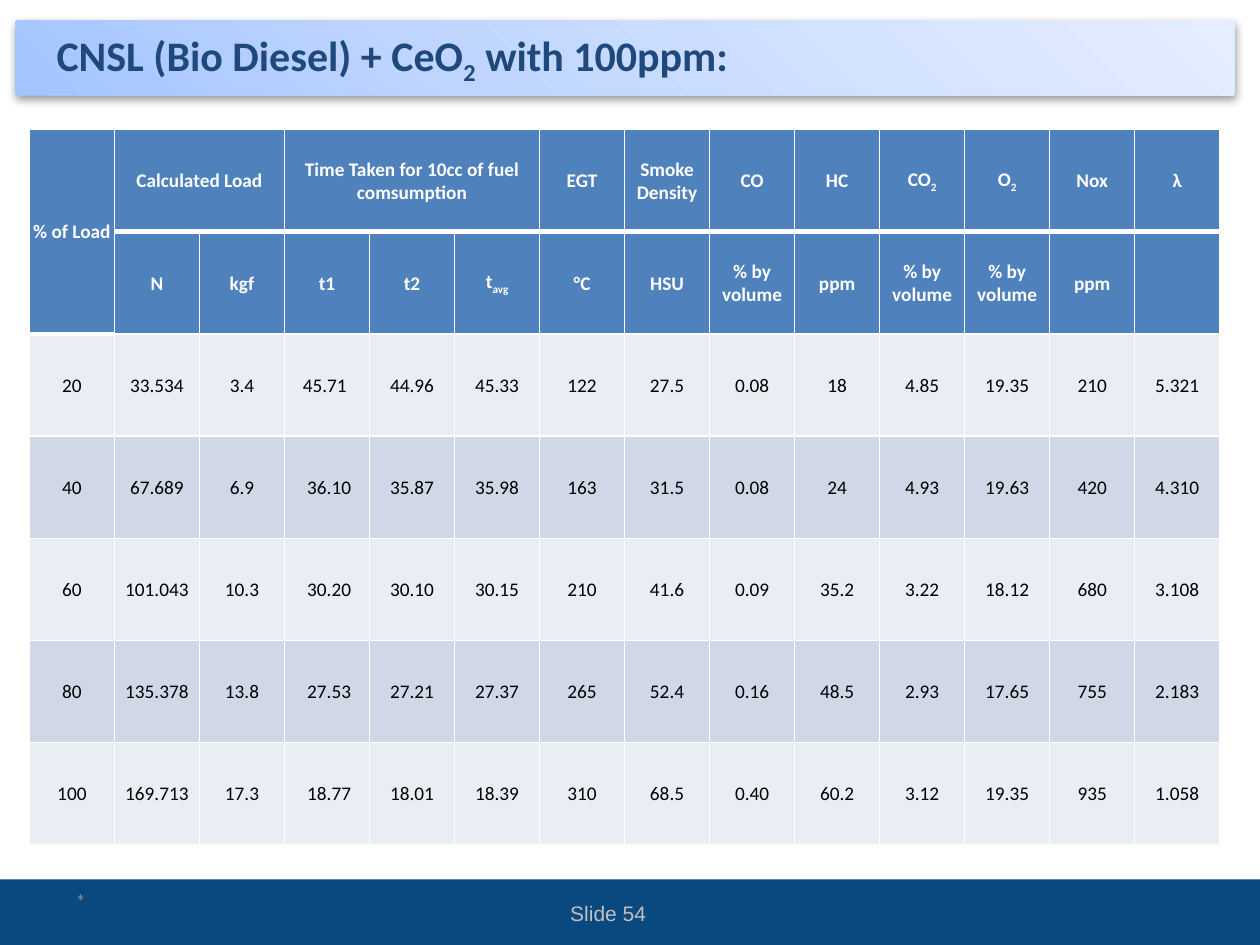
"""Build the engine test results slide for CNSL bio diesel with CeO2 at 100ppm."""
from lxml.etree import SubElement
from pptx import Presentation
from pptx.dml.color import RGBColor
from pptx.enum.shapes import MSO_SHAPE
from pptx.enum.text import MSO_ANCHOR, PP_ALIGN
from pptx.oxml.ns import qn
from pptx.util import Pt

COLORS = {
    "footer": "0A4880", "title": "1F497D", "number": "BFBFBF", "date": "898989",
    "header": "4F81BD", "light": "E9EDF4", "dark": "D0D8E8",
    "white": "FFFFFF", "black": "000000",
}
BANNER_STOPS = [(0, "A3C4FF"), (35, "BFD5FF"), (100, "E5EEFF")]

TITLE = "CNSL (Bio Diesel) + CeO|2| with 100ppm:"
HEADERS = [
    ["% of Load", "Calculated Load", "", "Time Taken for 10cc of fuel comsumption", "", "",
     "EGT", "Smoke Density", "CO", "HC", "CO|2", "O|2", "Nox", "λ"],
    ["", "N", "kgf", "t1", "t2", "t|avg", "°C", "HSU", "% by volume", "ppm",
     "% by volume", "% by volume", "ppm", ""],
]
READINGS = [
    ["20", "33.534", "3.4", "45.71 ", "44.96", "45.33", "122", "27.5", "0.08", "18",
     "4.85", "19.35", "210", "5.321"],
    ["40", "67.689", "6.9", " 36.10", "35.87", "35.98", "163", "31.5", "0.08", "24",
     "4.93", "19.63", "420", "4.310"],
    ["60", "101.043", "10.3", " 30.20", "30.10", "30.15", "210", "41.6", "0.09", "35.2",
     "3.22", "18.12", "680", "3.108"],
    ["80", "135.378", "13.8", " 27.53", "27.21", "27.37", "265", "52.4", "0.16", "48.5",
     "2.93", "17.65", "755", "2.183"],
    ["100", "169.713", "17.3", " 18.77", "18.01", "18.39", "310", "68.5", "0.40", "60.2",
     "3.12", "19.35", "935", "1.058"],
]
MERGES = [((0, 0), (1, 0)), ((0, 1), (0, 2)), ((0, 3), (0, 5))]
COLUMN_WIDTH, ROW_HEIGHT = 48.6, 58.4


def color(name):
    return RGBColor.from_string(COLORS[name])


def write(paragraph, text, size, font_color, bold=False, align=PP_ALIGN.LEFT, name="Calibri"):
    """Write text whose every second part, split at a bar, is subscript."""
    paragraph.alignment = align
    font = paragraph.font
    font.name, font.size, font.bold = name, Pt(size), bold
    font.color.rgb = color(font_color)
    for index, part in enumerate(text.split("|")):
        if part:
            run = paragraph.add_run()
            run.text = part
            if index % 2:
                run._r.get_or_add_rPr().set("baseline", "-25000")


def add_text(slide, box, text, *style, **options):
    frame = slide.shapes.add_textbox(*map(Pt, box)).text_frame
    frame.word_wrap = True
    frame.vertical_anchor = MSO_ANCHOR.MIDDLE
    write(frame.paragraphs[0], text, *style, **options)


def add_block(slide, kind, box):
    shape = slide.shapes.add_shape(kind, *map(Pt, box))
    shape.shadow.inherit = False
    shape.line.fill.background()
    return shape


def add_banner(slide):
    banner = add_block(slide, MSO_SHAPE.ROUNDED_RECTANGLE, (8.64, 11.52, 697, 43.2))
    banner.adjustments[0] = 0.04
    banner.fill.gradient()
    banner.fill.gradient_angle = 45
    properties = banner._element.spPr
    stops = properties.find(qn("a:gradFill")).find(qn("a:gsLst"))
    for stop in list(stops):
        stops.remove(stop)
    for position, value in BANNER_STOPS:
        stop = SubElement(stops, qn("a:gs"), pos=str(position * 1000))
        SubElement(stop, qn("a:srgbClr"), val=value)
    shadow = SubElement(properties.find(qn("a:effectLst")), qn("a:outerShdw"),
                        blurRad=str(Pt(5)), dist=str(Pt(1.6)), dir="5400000", rotWithShape="0")
    shade = SubElement(shadow, qn("a:srgbClr"), val=COLORS["black"])
    SubElement(shade, qn("a:alpha"), val="38000")


def set_borders(cell, widths):
    properties = cell._tc.get_or_add_tcPr()
    for side, width in widths.items():
        line = SubElement(properties, qn(f"a:ln{side}"), w=str(Pt(width)))
        fill = SubElement(line, qn("a:solidFill"))
        SubElement(fill, qn("a:srgbClr"), val=COLORS["white"])


def fill_cell(cell, text, row, column):
    is_header = row < len(HEADERS)
    thick_bottom = row == 0 or (row, column) == (1, 0)
    set_borders(cell, {"L": 1, "R": 1, "T": 3 if row == 1 else 1, "B": 3 if thick_bottom else 1})
    cell.fill.solid()
    cell.fill.fore_color.rgb = color("header" if is_header else ("light", "dark")[row % 2])
    cell.vertical_anchor = MSO_ANCHOR.MIDDLE
    cell.margin_left = cell.margin_right = cell.margin_top = Pt(0.72)
    cell.margin_bottom = 0
    write(cell.text_frame.paragraphs[0], text, 11, "white" if is_header else "black",
          bold=is_header, align=PP_ALIGN.CENTER)


def add_results(slide):
    rows = HEADERS + READINGS
    row_count, column_count = len(rows), len(rows[0])
    table = slide.shapes.add_table(
        row_count, column_count, Pt(16.8), Pt(74),
        Pt(COLUMN_WIDTH * column_count), Pt(ROW_HEIGHT * row_count)).table
    table.first_row = table.horz_banding = False
    for column in table.columns:
        column.width = Pt(COLUMN_WIDTH)
    for row_index, row in enumerate(rows):
        table.rows[row_index].height = Pt(ROW_HEIGHT)
        for column_index, text in enumerate(row):
            fill_cell(table.cell(row_index, column_index), text, row_index, column_index)
    for first, last in MERGES:
        table.cell(*first).merge(table.cell(*last))


def main():
    presentation = Presentation()
    presentation.slide_width, presentation.slide_height = Pt(720), Pt(540)
    slide = presentation.slides.add_slide(presentation.slide_layouts[6])
    footer = add_block(slide, MSO_SHAPE.RECTANGLE, (0, 502.5, 720, 37.5))
    footer.fill.solid()
    footer.fill.fore_color.rgb = color("footer")
    add_banner(slide)
    add_text(slide, (25.2, 15.12, 589, 36), TITLE, 24, "title", bold=True)
    add_text(slide, (263.5, 507.6, 168, 28.8), "Slide 54", 12, "number",
             align=PP_ALIGN.CENTER, name="Arial")
    add_text(slide, (36, 500.4, 168, 28.8), "*", 12, "date")
    add_results(slide)
    presentation.save("out.pptx")


if __name__ == "__main__":
    main()
